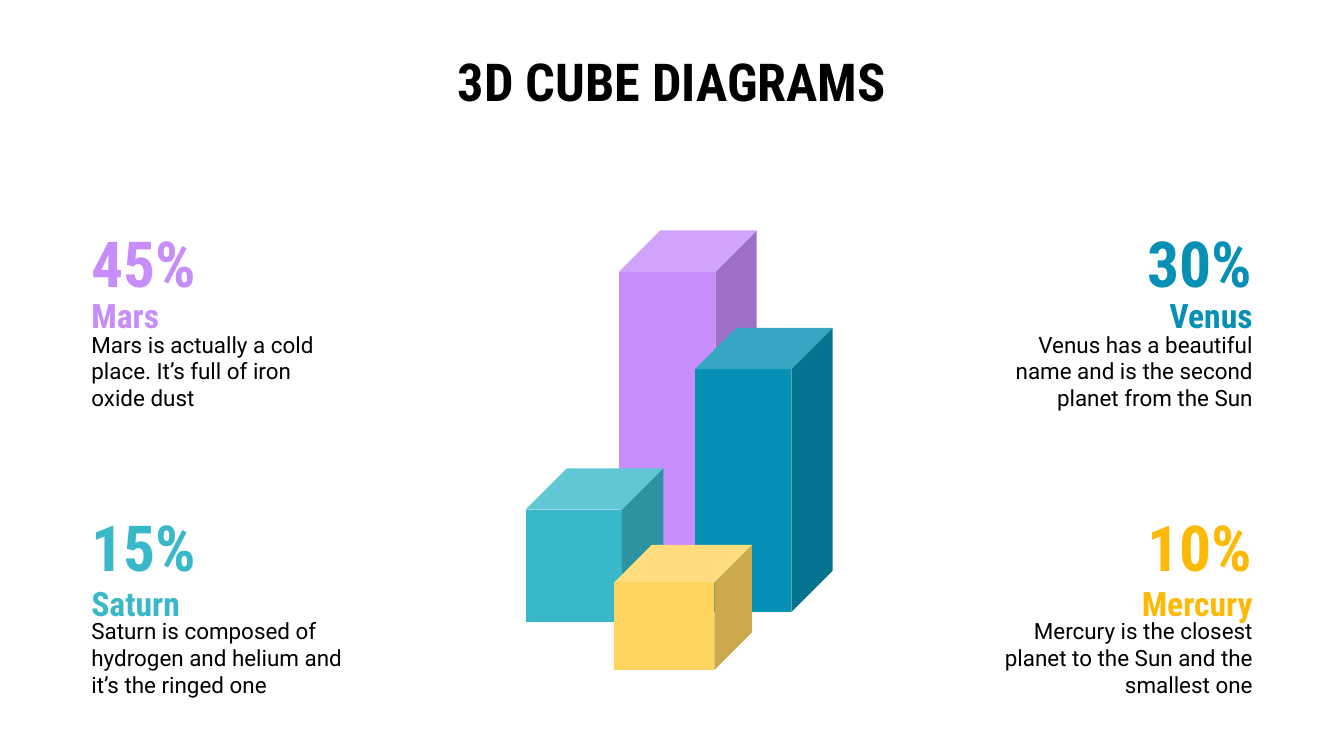
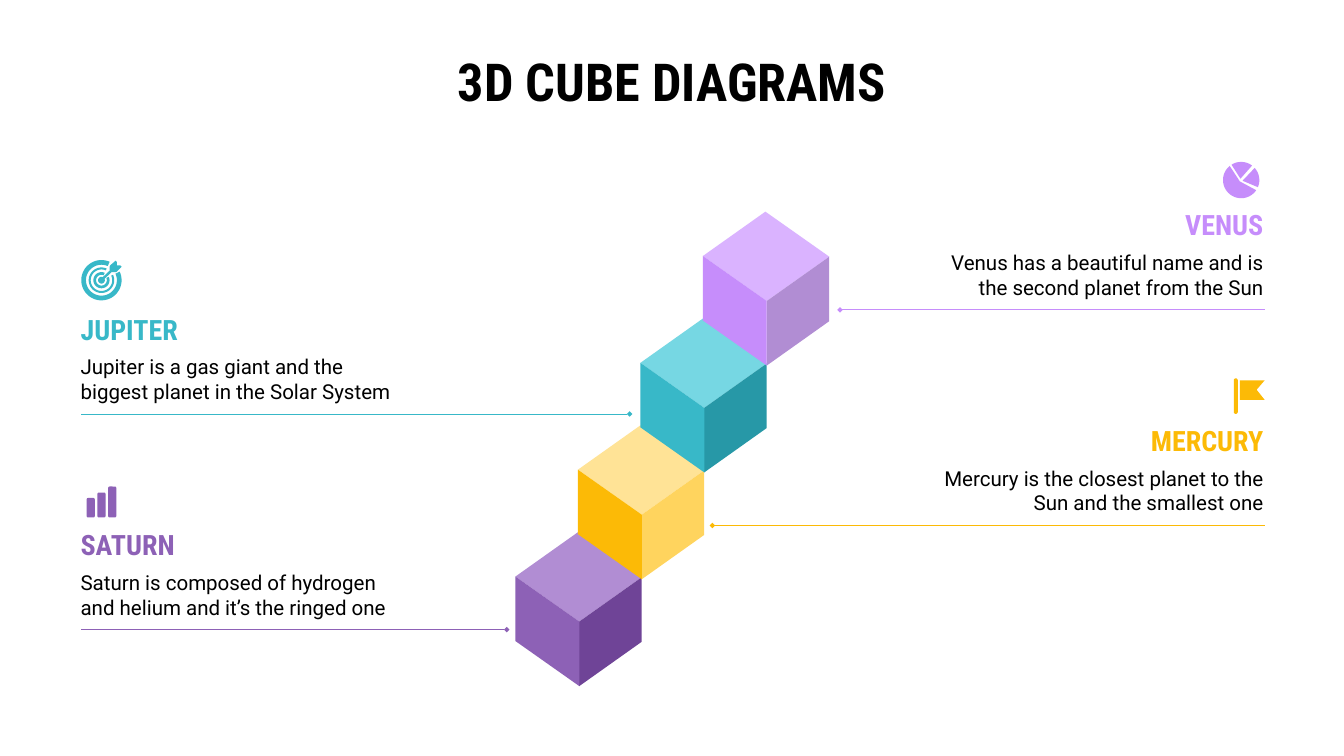
import math
from dataclasses import dataclass

import lxml.etree
import pptx
import pptx.dml.color
import pptx.enum.shapes
import pptx.enum.text
import pptx.oxml.ns
import pptx.shapes.base
import pptx.shapes.shapetree
import pptx.slide
import pptx.util

RGB = pptx.dml.color.RGBColor
Shapes = pptx.shapes.shapetree.GroupShapes | pptx.shapes.shapetree.SlideShapes
Point = tuple[float, float]
MSO = pptx.enum.shapes.MSO_SHAPE
LEFT = pptx.enum.text.PP_ALIGN.LEFT
CENTER = pptx.enum.text.PP_ALIGN.CENTER
RIGHT = pptx.enum.text.PP_ALIGN.RIGHT

SLIDE_W = pptx.util.Inches(20)
SLIDE_H = pptx.util.Inches(11.25)
COLS, ROWS = 20, 11.25

BLACK = RGB(0x00, 0x00, 0x00)
LILAC = RGB(0xC6, 0x8D, 0xFB)
LILAC_PALE = RGB(0xDA, 0xB3, 0xFF)
MAUVE = RGB(0xB1, 0x8D, 0xD3)
PURPLE = RGB(0x8D, 0x61, 0xB6)
PURPLE_DARK = RGB(0x6F, 0x44, 0x97)
TEAL = RGB(0x38, 0xB8, 0xC8)
TEAL_PALE = RGB(0x76, 0xD7, 0xE3)
TEAL_DARK = RGB(0x27, 0x98, 0xA7)
BLUE = RGB(0x06, 0x90, 0xB5)
AMBER = RGB(0xFC, 0xBA, 0x06)
YELLOW = RGB(0xFF, 0xD4, 0x5E)
YELLOW_PALE = RGB(0xFF, 0xE3, 0x96)

BODY_FONT = "Roboto"
HEAD_FONT = "Roboto Condensed"


@dataclass(frozen=True)
class Box:
    x: float
    y: float
    w: float
    h: float


@dataclass(frozen=True)
class Style:
    font: str
    size: int
    bold: bool = False
    spacing: float | None = None
    after: int | None = None


@dataclass(frozen=True)
class Column:
    box: Box
    color: RGB


@dataclass(frozen=True)
class Share:
    percent: str
    name: str
    detail: str
    color: RGB
    align: int
    row: int


@dataclass(frozen=True)
class Step:
    name: str
    detail: str
    color: RGB
    align: int
    y: float
    line_end: float


@dataclass(frozen=True)
class Cube:
    top: RGB
    right: RGB
    left: RGB


TITLE = Style(HEAD_FONT, 56, True)
PERCENT = Style(HEAD_FONT, 68, True, 1.15, 32)
SHARE_NAME = Style(HEAD_FONT, 36, True, 1.15, 32)
SHARE_DETAIL = Style(BODY_FONT, 24)
STEP_NAME = Style(HEAD_FONT, 30, True, 1.15, 32)
STEP_DETAIL = Style(BODY_FONT, 22)

COLUMNS = (
    Column(Box(9.21, 3.43, 2.05, 5.01), LILAC),
    Column(Box(7.82, 6.97, 2.05, 2.28), TEAL),
    Column(Box(10.34, 4.88, 2.05, 4.23), BLUE),
    Column(Box(9.14, 8.11, 2.05, 1.86), YELLOW),
)
SHARES = (
    Share("45%", "Mars", "Mars is actually a cold place. It’s full of iron oxide dust", LILAC, LEFT, 0),
    Share("15%", "Saturn", "Saturn is composed of hydrogen and helium and it’s the ringed one", TEAL, LEFT, 1),
    Share("30%", "Venus", "Venus has a beautiful name and is the second planet from the Sun", BLUE, RIGHT, 0),
    Share("10%", "Mercury", "Mercury is the closest planet to the Sun and the smallest one", AMBER, RIGHT, 1),
)
SHARE_EDGES = (1.16, 18.84)
PERCENT_ROWS = (2.97, 7.19)
NAME_ROWS = (4.1, 8.38)
DETAIL_ROWS = (4.72, 8.98)

CUBES = (
    Cube(MAUVE, PURPLE_DARK, PURPLE),
    Cube(YELLOW_PALE, YELLOW, AMBER),
    Cube(TEAL_PALE, TEAL_DARK, TEAL),
    Cube(LILAC_PALE, MAUVE, LILAC),
)
CUBE_START = (7.67, 7.92)
CUBE_STEP = (0.93, -1.59)
CUBE_DEPTH = 0.96

STEPS = (
    Step("JUPITER", "Jupiter is a gas giant and the biggest planet in the Solar System", TEAL, LEFT, 4.37, 9.37),
    Step("SATURN", "Saturn is composed of hydrogen and helium and it’s the ringed one", PURPLE, LEFT, 7.58, 7.54),
    Step("VENUS", "Venus has a beautiful name and is the second planet from the Sun", LILAC, RIGHT, 2.82, 12.5),
    Step("MERCURY", "Mercury is the closest planet to the Sun and the smallest one", AMBER, RIGHT, 6.03, 10.6),
)
STEP_EDGES = (1, 19)
LINE_STARTS = (1.21, 18.82)


def col(n: float) -> int:
    return round(SLIDE_W * n / COLS)


def row(n: float) -> int:
    return round(SLIDE_H * n / ROWS)


def place(box: Box) -> tuple[int, int, int, int]:
    return col(box.x), row(box.y), col(box.w), row(box.h)


def paint(sp: pptx.shapes.base.BaseShape, color: RGB) -> None:
    sp.shadow.inherit = False
    sp.fill.solid()
    sp.fill.fore_color.rgb = color
    sp.line.fill.background()


def add_preset(shapes: Shapes, kind: MSO, box: Box, color: RGB, adjust: float) -> None:
    sp = shapes.add_shape(kind, *place(box))
    sp.adjustments[0] = adjust
    paint(sp, color)


def add_outline(shapes: Shapes, points: list[Point], color: RGB) -> None:
    start, *rest = [(col(x), row(y)) for x, y in points]
    builder = shapes.build_freeform(*start)
    builder.add_line_segments(rest, close=True)
    paint(builder.convert_to_shape(), color)


def arc(center: Point, radius: float, first: float, last: float) -> list[Point]:
    count = max(2, round(abs(last - first) / 6))
    angles = [math.radians(first + (last - first) * i / count) for i in range(count + 1)]
    return [(center[0] + radius * math.cos(a), center[1] + radius * math.sin(a)) for a in angles]


def add_text(s: pptx.slide.Slide, box: Box, text: str, style: Style, color: RGB, align: int) -> None:
    tf = s.shapes.add_textbox(*place(box)).text_frame
    tf.word_wrap = True
    tf.margin_left = tf.margin_right = col(0.2)
    tf.margin_top = tf.margin_bottom = row(0.2)
    p = tf.paragraphs[0]
    p.alignment = align
    if style.spacing:
        p.line_spacing = style.spacing
    if style.after:
        p.space_after = pptx.util.Pt(style.after)
    r = p.add_run()
    r.text = text
    r.font.name = style.font
    r.font.size = pptx.util.Pt(style.size)
    r.font.bold = style.bold
    r.font.color.rgb = color


def side_box(edges: Point, align: int, y: float, w: float, h: float) -> Box:
    return Box(edges[0] if align == LEFT else edges[1] - w, y, w, h)


def add_leader(s: pptx.slide.Slide, start: float, end: float, y: float, color: RGB) -> None:
    line = s.shapes.add_connector(
        pptx.enum.shapes.MSO_CONNECTOR.STRAIGHT, col(start), row(y), col(end), row(y)
    )
    line.line.color.rgb = color
    line.line.width = pptx.util.Pt(0.75)
    qn = pptx.oxml.ns.qn
    lxml.etree.SubElement(line.line._get_or_add_ln(), qn("a:tailEnd"), type="diamond")
    lxml.etree.SubElement(line._element.spPr, qn("a:effectLst"))


def add_cube(s: pptx.slide.Slide, x: float, y: float, cube: Cube) -> None:
    shapes = s.shapes.add_group_shape().shapes
    back, left = (x + 0.93, y), (x, y + 0.66)
    front, right = (x + 0.95, y + 1.33), (x + 1.88, y + 0.67)
    left_low, front_low, right_low = [(px, py + CUBE_DEPTH) for px, py in (left, front, right)]
    add_outline(shapes, [back, left, front, right], cube.top)
    add_outline(shapes, [right, front, front_low, right_low], cube.right)
    add_outline(shapes, [left, left_low, front_low, front], cube.left)


def add_pie_icon(s: pptx.slide.Slide) -> None:
    shapes = s.shapes.add_group_shape().shapes
    wedges = (((18.45, 2.7), 34, 231), ((18.46, 2.66), 238, 307), ((18.49, 2.69), 318, 383))
    for tip, first, last in wedges:
        add_outline(shapes, [tip, *arc((18.47, 2.68), 0.27, first, last)], LILAC)


def add_bars_icon(s: pptx.slide.Slide) -> None:
    shapes = s.shapes.add_group_shape().shapes
    for i, h in enumerate((0.29, 0.37, 0.46)):
        add_preset(shapes, MSO.ROUNDED_RECTANGLE, Box(1.29 + 0.16 * i, 7.7 - h, 0.12, h), PURPLE, 0.17)


def add_flag_icon(s: pptx.slide.Slide) -> None:
    shapes = s.shapes.add_group_shape().shapes
    add_preset(shapes, MSO.ROUNDED_RECTANGLE, Box(18.36, 5.63, 0.06, 0.53), AMBER, 0.5)
    add_outline(shapes, [(18.45, 5.66), (18.45, 5.95), (18.82, 5.95), (18.7, 5.8), (18.82, 5.66)], AMBER)


def add_target_icon(s: pptx.slide.Slide) -> None:
    shapes = s.shapes.add_group_shape().shapes
    center = (1.51, 4.17)
    for outer, inner in ((0.3, 0.23), (0.19, 0.16), (0.12, 0.08)):
        add_outline(shapes, arc(center, outer, -25, 294) + arc(center, inner, 294, -25), TEAL)
    fletching = [(1.66, 4.05), (1.73, 4.05), (1.81, 3.97), (1.79, 3.95), (1.74, 3.95), (1.74, 3.9),
                 (1.72, 3.88), (1.64, 3.95), (1.63, 3.97), (1.63, 4.03)]
    add_outline(shapes, fletching + arc(center, 0.05, -66, -384), TEAL)


def new_slide(prs: pptx.presentation.Presentation) -> pptx.slide.Slide:
    s = prs.slides.add_slide(prs.slide_layouts[6])
    add_text(s, Box(1, 0.53, 18, 1.25), "3D CUBE DIAGRAMS", TITLE, BLACK, CENTER)
    return s


def build_shares(prs: pptx.presentation.Presentation) -> None:
    s = new_slide(prs)
    for column in COLUMNS:
        add_preset(s.shapes, MSO.CUBE, column.box, column.color, 0.3)
    for share in SHARES:
        for text, style, color, y, w, h in (
            (share.detail, SHARE_DETAIL, BLACK, DETAIL_ROWS[share.row], 4.21, 1.25),
            (share.percent, PERCENT, share.color, PERCENT_ROWS[share.row], 2.86, 1.34),
            (share.name, SHARE_NAME, share.color, NAME_ROWS[share.row], 2.86, 1.15),
        ):
            add_text(s, side_box(SHARE_EDGES, share.align, y, w, h), text, style, color, share.align)


def build_steps(prs: pptx.presentation.Presentation) -> None:
    s = new_slide(prs)
    for i, cube in enumerate(CUBES):
        add_cube(s, CUBE_START[0] + i * CUBE_STEP[0], CUBE_START[1] + i * CUBE_STEP[1], cube)
    for step in STEPS:
        detail_box = side_box(STEP_EDGES, step.align, step.y + 0.7, 5.3, 1.25)
        name_box = side_box(STEP_EDGES, step.align, step.y, 2.66, 0.84)
        add_text(s, detail_box, step.detail, STEP_DETAIL, BLACK, step.align)
        add_text(s, name_box, step.name, STEP_NAME, step.color, step.align)
        add_leader(s, LINE_STARTS[step.align == RIGHT], step.line_end, step.y + 1.79, step.color)
    for add_icon in (add_pie_icon, add_bars_icon, add_flag_icon, add_target_icon):
        add_icon(s)


def main() -> None:
    prs = pptx.Presentation()
    prs.slide_width, prs.slide_height = SLIDE_W, SLIDE_H
    build_shares(prs)
    build_steps(prs)
    prs.save("out.pptx")


if __name__ == "__main__":
    main()
